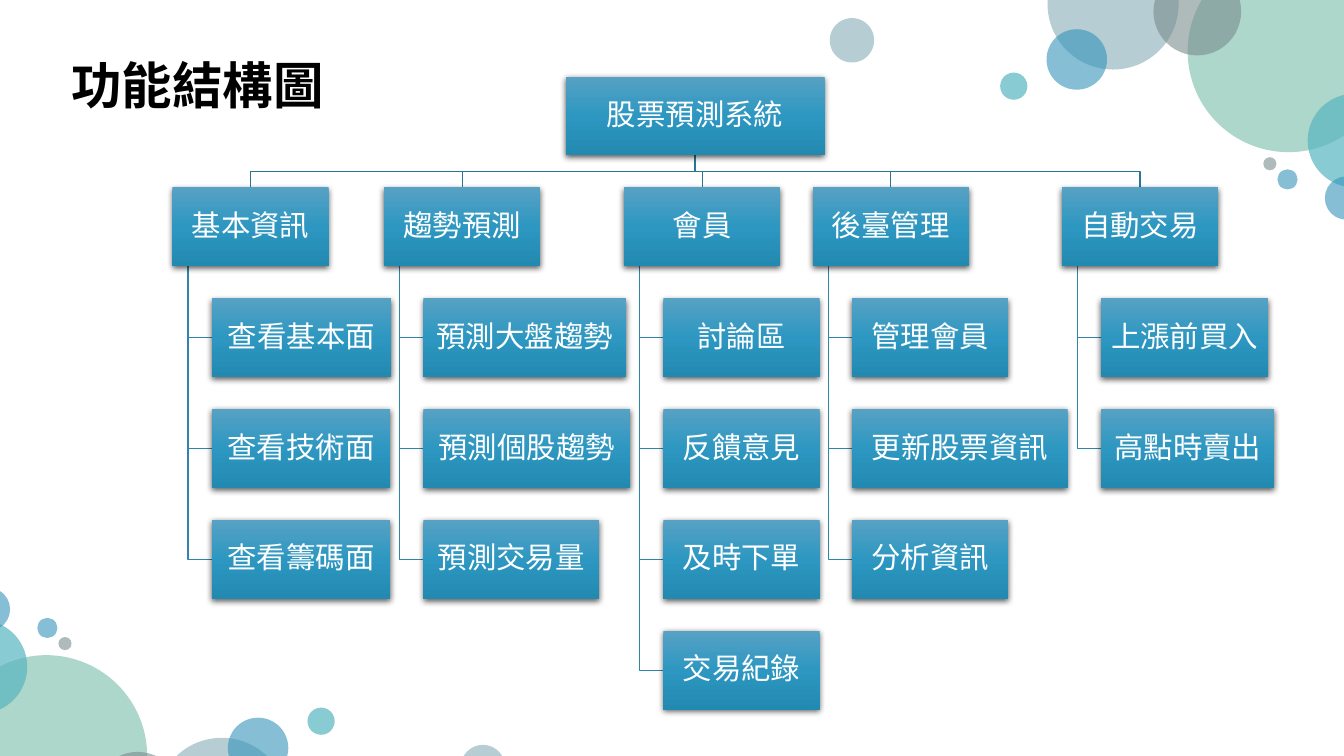
from dataclasses import dataclass

from lxml.etree import SubElement
from pptx import Presentation
from pptx.dml.color import RGBColor
from pptx.enum.shapes import MSO_SHAPE
from pptx.enum.text import MSO_ANCHOR, PP_ALIGN
from pptx.oxml.ns import qn
from pptx.util import Inches, Pt

BOX_H, BOX_W = 0.78, 1.55
ROOT_X, ROOT_Y, ROOT_W = 5.61, 0.76, 2.57
BRANCH_Y, PITCH = 1.86, 1.1
STEM, INDENT = 0.155, 0.39
GRADIENT = ((0, "56A1C4"), (50, "2D97C1"), (100, "2289B1"))


@dataclass
class Bubble:
    x: float
    y: float
    d: float
    color: str
    alpha: int = 60


@dataclass
class Leaf:
    text: str
    w: float = BOX_W


@dataclass
class Branch:
    text: str
    x: float
    leaves: list[Leaf]


BUBBLES = [
    Bubble(10.39, -0.61, 1.3, "84ACB6"),
    Bubble(11.78, -0.49, 2, "75BDA7"),
    Bubble(11.44, -0.32, 0.87, "7A8C8E"),
    Bubble(10.38, 0.29, 0.6, "3494BA"),
    Bubble(12.97, 0.93, 0.93, "58B6C0", 70),
    Bubble(9.92, 0.72, 0.27, "58B6C0", 70),
    Bubble(13.14, 1.75, 0.43, "3494BA"),
    Bubble(12.67, 1.68, 0.2, "3494BA"),
    Bubble(12.53, 1.56, 0.13, "7A8C8E"),
    Bubble(8.23, 0.18, 0.44, "84ACB6"),
]
BRANCHES = [
    Branch("基本資訊", 1.71, [Leaf("查看基本面", 1.78), Leaf("查看技術面", 1.77),
                          Leaf("查看籌碼面", 1.77)]),
    Branch("趨勢預測", 3.81, [Leaf("預測大盤趨勢", 2.01), Leaf("預測個股趨勢", 2.05),
                          Leaf("預測交易量", 1.74)]),
    Branch("會員", 6.19, [Leaf("討論區"), Leaf("反饋意見"), Leaf("及時下單"),
                        Leaf("交易紀錄")]),
    Branch("後臺管理", 8.06, [Leaf("管理會員"), Leaf("更新股票資訊", 2.14),
                          Leaf("分析資訊")]),
    Branch("自動交易", 10.53, [Leaf("上漲前買入", 1.66), Leaf("高點時賣出", 1.72)]),
]

prs = Presentation()
prs.slide_width, prs.slide_height = Inches(13.33), Inches(7.5)
shapes = prs.slides.add_slide(prs.slide_layouts[6]).shapes


def rgb(color: str) -> RGBColor:
    return RGBColor.from_string(color)


def add_color(parent, color: str, alpha: int = 100) -> None:
    c = SubElement(parent, qn("a:srgbClr"), val=color)
    if alpha < 100:
        SubElement(c, qn("a:alpha"), val=str(alpha * 1000))


def write(s, text: str, *, size: float, font: str, color: str, bold: bool = False,
          align=PP_ALIGN.LEFT, spacing: float = 1.0) -> None:
    p = s.text_frame.paragraphs[0]
    p.alignment, p.line_spacing = align, spacing
    r = p.add_run()
    r.text = text
    r.font.size, r.font.name, r.font.bold = Pt(size), font, bold
    r.font.color.rgb = rgb(color)
    SubElement(r.font._element, qn("a:ea"), typeface=font)


def draw_bubble(b: Bubble, x: float, y: float) -> None:
    s = shapes.add_shape(MSO_SHAPE.OVAL, Inches(x), Inches(y), Inches(b.d), Inches(b.d))
    s.shadow.inherit = False
    s.line.fill.background()
    s.fill.solid()
    s.fill.fore_color.rgb = rgb(b.color)
    c = s._element.spPr.find(qn("a:solidFill"))[0]
    SubElement(c, qn("a:alpha"), val=str(b.alpha * 1000))


def draw_line(points: list[tuple[float, float]], color: str) -> None:
    pts = [(Inches(x), Inches(y)) for x, y in points]
    fb = shapes.build_freeform(*pts[0])
    fb.add_line_segments(pts[1:], close=False)
    s = fb.convert_to_shape()
    s.shadow.inherit = False
    s.fill.background()
    s.line.width = Pt(1)
    s.line.color.rgb = rgb(color)


def draw_box(text: str, x: float, y: float, w: float = BOX_W) -> None:
    s = shapes.add_shape(MSO_SHAPE.RECTANGLE, Inches(x), Inches(y), Inches(w), Inches(BOX_H))
    s.line.fill.background()
    s.fill.gradient()
    s.fill.gradient_angle = 270
    stops = s._element.spPr.find(qn("a:gradFill")).find(qn("a:gsLst"))
    stops.clear()
    for pos, color in GRADIENT:
        add_color(SubElement(stops, qn("a:gs"), pos=str(pos * 1000)), color)
    s.shadow.inherit = False
    effects = s._element.spPr.find(qn("a:effectLst"))
    shadow = SubElement(effects, qn("a:outerShdw"), blurRad=str(Pt(4.5)),
                        dist=str(Pt(1.5)), dir="5400000", rotWithShape="0")
    add_color(shadow, "000000", 63)
    tf = s.text_frame
    tf.word_wrap, tf.vertical_anchor = True, MSO_ANCHOR.MIDDLE
    tf.margin_left = tf.margin_right = tf.margin_top = tf.margin_bottom = Inches(0.01)
    write(s, text, size=21, font="Lato", color="FFFFFF", align=PP_ALIGN.CENTER, spacing=0.9)


# Bubbles: top right, then the same cluster turned by half a circle
for b in BUBBLES:
    draw_bubble(b, b.x, b.y)
for b in BUBBLES:
    draw_bubble(b, 13.24 - b.x - b.d, 8.01 - b.y - b.d)

# Lines, behind the boxes
root_mid, root_bottom = ROOT_X + ROOT_W / 2, ROOT_Y + BOX_H
bus_y = (root_bottom + BRANCH_Y) / 2
for br in BRANCHES:
    mid, stem = br.x + BOX_W / 2, br.x + STEM
    draw_line([(root_mid, root_bottom), (root_mid, bus_y), (mid, bus_y), (mid, BRANCH_Y)],
              "2A7795")
    for row in range(1, len(br.leaves) + 1):
        y = BRANCH_Y + row * PITCH + BOX_H / 2
        draw_line([(stem, BRANCH_Y + BOX_H), (stem, y), (br.x + INDENT, y)], "2F86A9")

# Boxes
draw_box("股票預測系統", ROOT_X, ROOT_Y, ROOT_W)
for br in BRANCHES:
    draw_box(br.text, br.x, BRANCH_Y)
    for row, leaf in enumerate(br.leaves, 1):
        draw_box(leaf.text, br.x + INDENT, BRANCH_Y + row * PITCH, leaf.w)

# Title
title = shapes.add_textbox(Inches(0.61), Inches(0.49), Inches(2.73), Inches(0.71))
title.text_frame.word_wrap = False
write(title, "功能結構圖", size=36, font="Noto Sans CJK SC", color="000000", bold=True)

prs.save("out.pptx")
